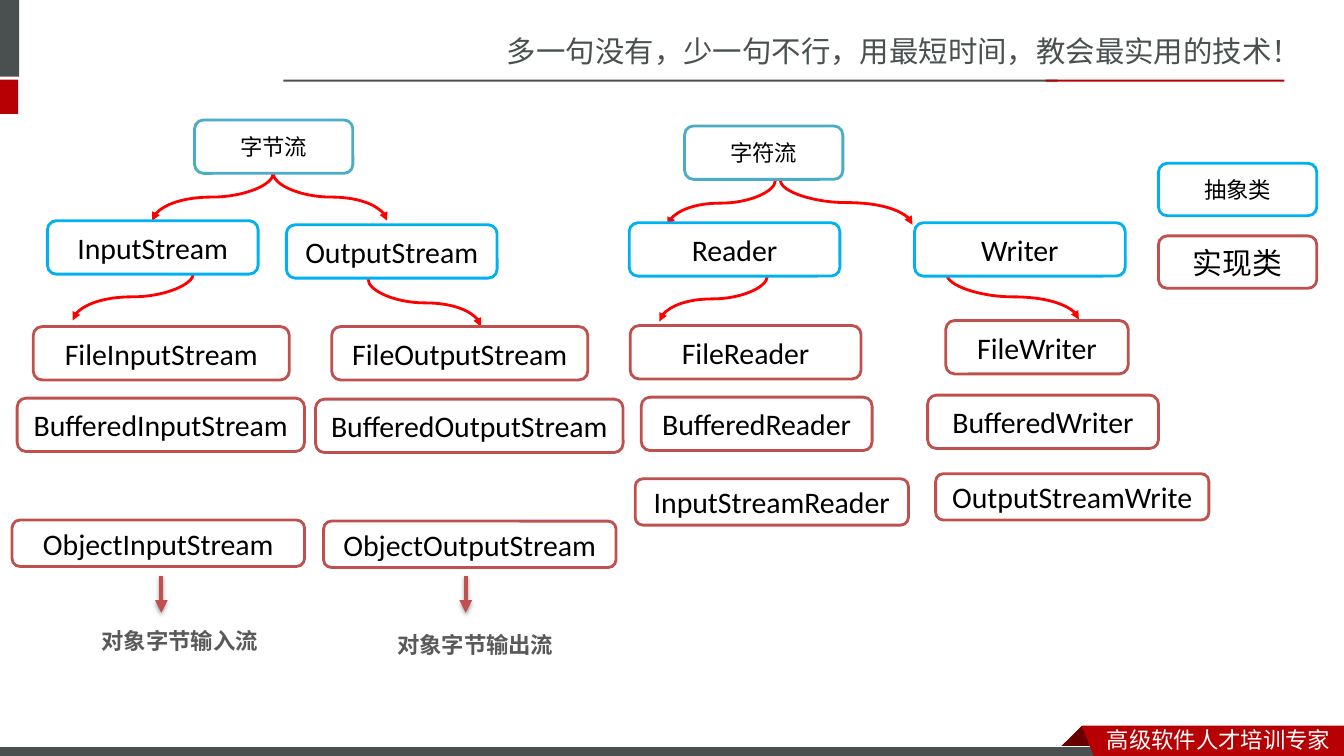
from dataclasses import dataclass

from lxml.etree import SubElement
from pptx import Presentation
from pptx.dml.color import RGBColor as Color
from pptx.enum.shapes import MSO_CONNECTOR as Link, MSO_SHAPE as Preset
from pptx.enum.text import MSO_ANCHOR as Anchor, PP_ALIGN as Align
from pptx.oxml.ns import qn
from pptx.util import Inches, Pt


@dataclass(frozen=True)
class Theme:
    grey: str = "49504F"
    red: str = "B60004"
    dark_red: str = "680000"
    white: str = "FFFFFF"
    black: str = "000000"
    caption: str = "595959"
    root: str = "4BACC6"
    abstract: str = "00B0F0"
    concrete: str = "C0504D"
    branch: str = "FF0000"
    header_size: float = 21
    small_size: float = 16
    class_size: float = 21.3
    latin_font: str = "Calibri"
    header_font: str = "Noto Sans CJK SC"
    caption_font: str = "Noto Sans CJK JP"


THEME = Theme()

# Ten grid columns or rows to the inch
COLUMNS, ROWS = 133.3, 75

# Class boxes: outline, type size, height, then (text, left, top, width)
BOX_GROUPS = [
    (THEME.root, THEME.small_size, 5.3, [
        ("字节流", 19.3, 11.9, 15.7),
        ("字符流", 67.9, 12.5, 15.7),
    ]),
    (THEME.abstract, THEME.small_size, 5.2, [("抽象类", 114.9, 16.2, 15.7)]),
    (THEME.concrete, THEME.class_size, 5.2, [("实现类", 114.9, 23.4, 15.7)]),
    (THEME.abstract, THEME.class_size, 5.3, [
        ("InputStream", 4.7, 21.9, 20.9),
        ("OutputStream", 28.4, 22.3, 20.9),
        ("Reader", 62.4, 22.1, 20.9),
        ("Writer", 90.7, 22.1, 20.9),
    ]),
    (THEME.concrete, THEME.class_size, 5.3, [
        ("FileInputStream", 3.3, 32.4, 25.4),
        ("FileOutputStream", 32.9, 32.4, 25.4),
        ("FileReader", 62.5, 32.3, 22.9),
        ("FileWriter", 93.8, 31.8, 18.1),
        ("BufferedInputStream", 1.7, 39.5, 28.5),
        ("BufferedOutputStream", 31.3, 39.6, 30.5),
        ("BufferedReader", 63.6, 39.4, 22.9),
        ("BufferedWriter", 92, 39.2, 22.9),
    ]),
    (THEME.concrete, THEME.class_size, 4.6, [
        ("InputStreamReader", 63, 47.5, 27.1),
        ("OutputStreamWrite", 92.8, 47, 27.1),
        ("ObjectInputStream", 1.2, 51.6, 29),
        ("ObjectOutputStream", 32.1, 51.7, 29),
    ]),
]

# Curved branches: start column, start row, end column, end row
BRANCHES = [
    (27.1, 17.2, 15.1, 21.9), (27.1, 17.2, 38.4, 21.9),
    (76.9, 17.9, 66.2, 22.4), (77.4, 17.9, 90.5, 22.3),
    (19.2, 27.1, 7.2, 31.8), (36.5, 27.7, 47.7, 32.4),
    (76.1, 27.4, 65.4, 31.9), (93.9, 27.2, 107, 31.7),
]


def grid(*cells):
    return [Inches(cell / 10) for cell in cells]


def paint(shape, fill, line=None, width=2):
    shape.shadow.inherit = False
    shape.fill.solid()
    shape.fill.fore_color.rgb = Color.from_string(fill)
    if line:
        shape.line.color.rgb = Color.from_string(line)
        shape.line.width = Pt(width)
    else:
        shape.line.fill.background()


def write(frame, text, color, **formats):
    para = frame.paragraphs[0]
    span = para.add_run()
    span.text = text
    for name, value in formats.items():
        setattr(span.font, name, value)
    span.font.color.rgb = Color.from_string(color)
    SubElement(span.font._element, qn("a:ea"), typeface=formats["name"])
    return para


def add_bar(page, place, fill, line=None):
    bar = page.shapes.add_shape(Preset.RECTANGLE, *grid(*place))
    paint(bar, fill, line, 0.75)


def add_outline(page, points, fill):
    first, *rest = [grid(*point) for point in points]
    builder = page.shapes.build_freeform(*first)
    builder.add_line_segments(rest, close=True)
    paint(builder.convert_to_shape(), fill)


def add_label(page, text, place, color, **formats):
    label = page.shapes.add_textbox(*grid(*place))
    label.text_frame.word_wrap = True
    write(label.text_frame, text, color, **formats)


def add_class_box(page, text, place, outline, size):
    box = page.shapes.add_shape(Preset.ROUNDED_RECTANGLE, *grid(*place))
    paint(box, THEME.white, outline)
    box.text_frame.vertical_anchor = Anchor.MIDDLE
    para = write(box.text_frame, text, THEME.black,
                 name=THEME.latin_font, size=Pt(size))
    para.alignment = Align.CENTER


def finish_arrow(arrow, color, width):
    arrow.line.color.rgb = Color.from_string(color)
    arrow.line.width = Pt(width)
    SubElement(arrow.line._get_or_add_ln(), qn("a:tailEnd"), type="triangle")
    return SubElement(arrow._element.spPr, qn("a:effectLst"))


def add_branch(page, start_x, start_y, end_x, end_y):
    # The curve lies sideways, then turns about its centre to point down
    middle_x, middle_y = (start_x + end_x) / 2, (start_y + end_y) / 2
    rightward = end_x > start_x
    reach = (end_y - start_y) / 2 * (-1 if rightward else 1)
    spread = abs(end_x - start_x) / 2
    branch = page.shapes.add_connector(Link.CURVE, *grid(
        middle_x - reach, middle_y - spread,
        middle_x + reach, middle_y + spread))
    branch.rotation = 270 if rightward else 90
    finish_arrow(branch, THEME.branch, 2)


def add_down_arrow(page, column, top, bottom):
    arrow = page.shapes.add_connector(
        Link.STRAIGHT, *grid(column, top, column, bottom))
    effects = finish_arrow(arrow, THEME.concrete, 3)
    shadow = SubElement(effects, qn("a:outerShdw"), blurRad=str(Pt(3.1)),
                        dist=str(Pt(1.8)), dir="5400000", rotWithShape="0")
    tint = SubElement(shadow, qn("a:srgbClr"), val=THEME.black)
    SubElement(tint, qn("a:alpha"), val="35000")


def add_frame(page):
    # Header
    add_label(page, "多一句没有，少一句不行，用最短时间，教会最实用的技术！",
              (49.3, 2.8, 84.1, 4.7), THEME.grey,
              name=THEME.header_font, size=Pt(THEME.header_size))
    add_bar(page, (-0.6, 0, 2.5, 7.6), THEME.grey)
    add_bar(page, (-0.6, 7.9, 2.4, 3.4), THEME.red)
    add_bar(page, (28.1, 7.9, 76.8, 0.2), THEME.grey)
    add_bar(page, (103.7, 7.9, 23.7, 0.2), THEME.red)
    # Footer ribbon
    add_outline(page, [(107.3, 72), (109.5, 74.2), (109.4, 74.3),
                       (105.2, 74.3), (105.1, 74.2)], THEME.dark_red)
    add_bar(page, (-0.1, 74.1, 110, 1.2), THEME.grey, THEME.white)
    add_outline(page, [(107.3, 72), (COLUMNS, 72), (COLUMNS, 75.4),
                       (108.6, 75.3)], THEME.red)
    add_label(page, "高级软件人才培训专家", (108.8, 71.5, 24.5, 3.7), THEME.white,
              name=THEME.header_font, size=Pt(THEME.small_size))


def main():
    deck = Presentation()
    deck.slide_width, deck.slide_height = grid(COLUMNS, ROWS)
    page = deck.slides.add_slide(deck.slide_layouts[6])
    add_frame(page)

    # Class tree
    for branch in BRANCHES:
        add_branch(page, *branch)
    for outline, size, height, boxes in BOX_GROUPS:
        for text, left, top, width in boxes:
            add_class_box(page, text, (left, top, width, height), outline, size)

    # Object stream captions
    for text, left, top, column in [("对象字节输入流", 9.1, 61.7, 16),
                                    ("对象字节输出流", 38.4, 62.1, 46.2)]:
        add_down_arrow(page, column, 57.1, 60.8)
        add_label(page, text, (left, top, 21, 3.7), THEME.caption, bold=True,
                  name=THEME.caption_font, size=Pt(THEME.small_size))
    deck.save("out.pptx")


if __name__ == "__main__":
    main()
